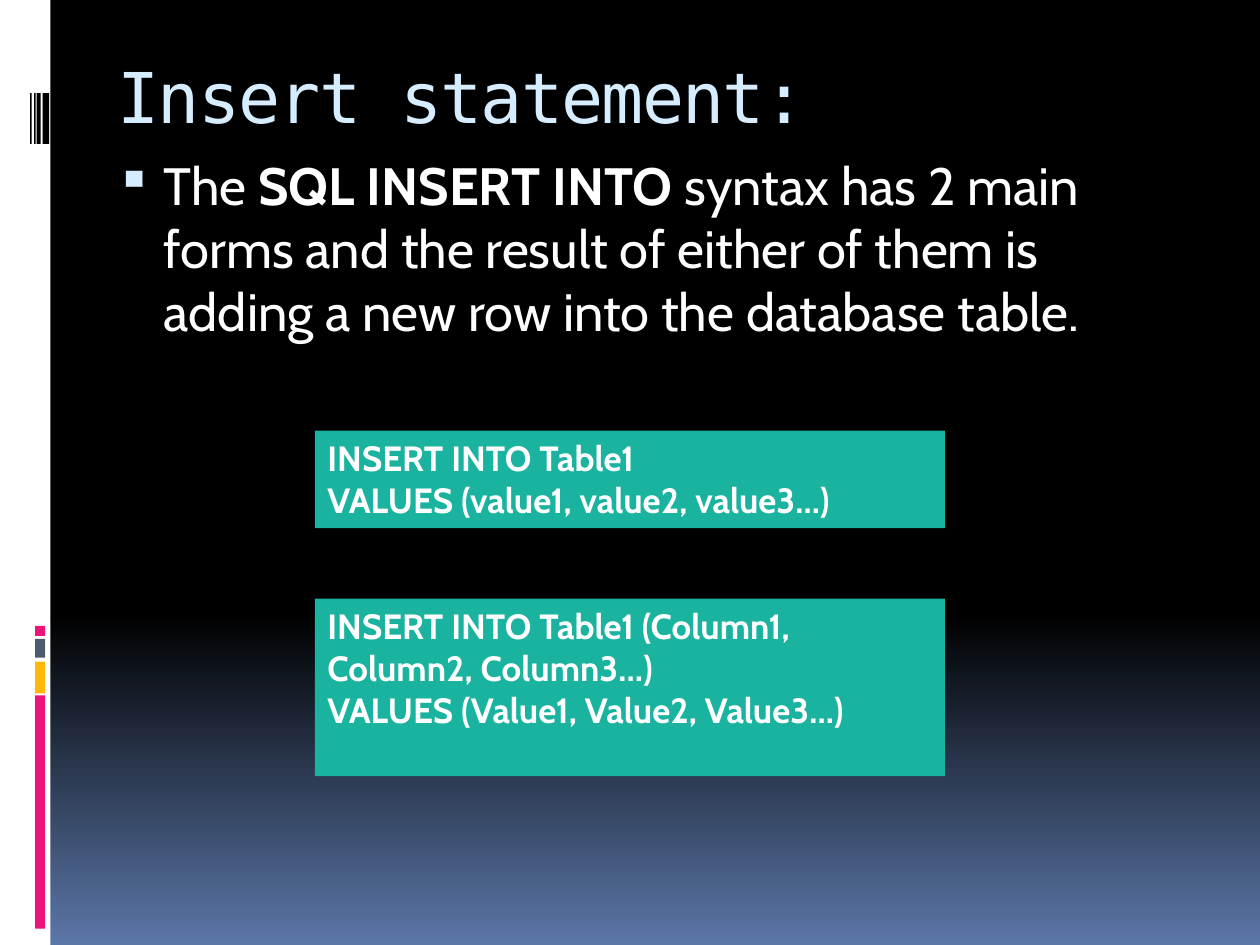
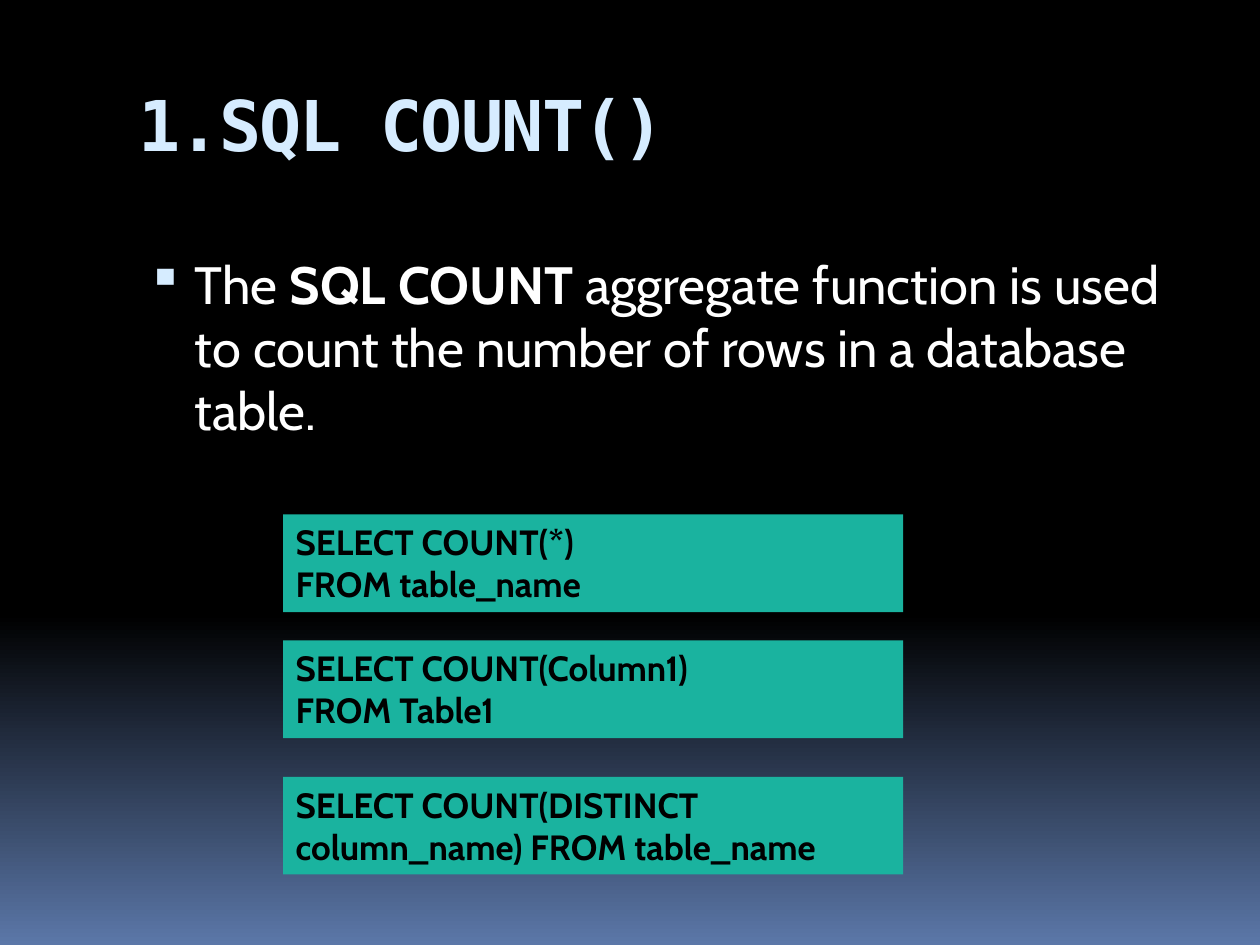
"""Build two slides on the SQL INSERT statement and the COUNT function."""
import copy
from dataclasses import dataclass

import pptx
import pptx.dml.color
import pptx.enum.shapes
import pptx.enum.text
import pptx.oxml
import pptx.oxml.ns
import pptx.slide
import pptx.text.text
import pptx.util
from pptx.util import Cm

COLOURS = {
    "black": "000000",
    "white": "FFFFFF",
    "dusk": "5B77A8",
    "ice": "D6ECFF",
    "teal": "1AB39F",
    "pink": "EA157A",
    "amber": "FEB80A",
    "slate": "4E5B6F",
}
TITLE_FONT = "DejaVu Sans Mono"
BODY_FONT = "Cabin"
TEXT_WIDTH = 21.59
TITLE_HEIGHT = 2.54


@dataclass(frozen=True)
class Box:
    """A place on the slide in centimetres."""
    left: float
    top: float
    width: float
    height: float

    def lengths(self) -> tuple[Cm, Cm, Cm, Cm]:
        """Return left, top, width and height as lengths."""
        return Cm(self.left), Cm(self.top), Cm(self.width), Cm(self.height)


@dataclass(frozen=True)
class Bar:
    """A plain coloured rectangle."""
    box: Box
    colour: str


@dataclass(frozen=True)
class CodePanel:
    """A teal panel with paragraphs of SQL."""
    box: Box
    paragraphs: tuple[str, ...]


@dataclass(frozen=True)
class Lesson:
    """The content of one slide."""
    title: str
    title_box: Box
    title_bold: bool
    sentence: tuple[str, str, str]
    sentence_box: Box
    code_colour: str
    panels: tuple[CodePanel, ...]
    has_rail: bool


RAIL = [Bar(Box(0, 0, 1.02, 19.05), "white")]
RAIL += [
    Bar(Box(0.71, top, 0.2, height), colour)
    for top, height, colour in (
        (14.02, 4.7, "pink"),
        (13.34, 0.64, "amber"),
        (12.88, 0.38, "slate"),
        (12.62, 0.2, "pink"),
    )
]
RAIL += [
    Bar(Box(left, 1.88, width, 1.02), "black")
    for left, width in ((0.86, 0.13), (0.74, 0.08), (0.69, 0.03), (0.61, 0.03))
]

LESSONS = (
    Lesson(
        title="Insert statement:",
        title_box=Box(2.12, 0.85, TEXT_WIDTH, TITLE_HEIGHT),
        title_bold=False,
        sentence=(
            "The ",
            "SQL INSERT INTO",
            " syntax has 2 main forms and the result of either of them is "
            "adding a new row into the database table.",
        ),
        sentence_box=Box(1.91, 2.97, TEXT_WIDTH, 4.23),
        code_colour="white",
        panels=(
            CodePanel(Box(6.35, 8.68, 12.7, 1.97),
                      ("INSERT INTO Table1\nVALUES (value1, value2, value3…)",)),
            CodePanel(Box(6.35, 12.07, 12.7, 3.58),
                      ("INSERT INTO Table1 (Column1, Column2, Column3…)\n"
                       "VALUES (Value1, Value2, Value3…)",)),
        ),
        has_rail=True,
    ),
    Lesson(
        title="1.SQL COUNT()",
        title_box=Box(2.54, 1.42, TEXT_WIDTH, TITLE_HEIGHT),
        title_bold=True,
        sentence=(
            "The ",
            "SQL COUNT",
            " aggregate function is used to count the number of rows in a database table.",
        ),
        sentence_box=Box(2.54, 4.95, TEXT_WIDTH, 4.37),
        code_colour="black",
        panels=tuple(
            CodePanel(Box(5.71, top, 12.5, 1.97), paragraphs)
            for top, paragraphs in (
                (10.37, ("SELECT COUNT(*)", "FROM table_name")),
                (12.91, ("SELECT COUNT(Column1)\nFROM Table1",)),
                (15.66, ("SELECT COUNT(DISTINCT column_name) FROM table_name",)),
            )
        ),
        has_rail=False,
    ),
)


def rgb(name: str) -> pptx.dml.color.RGBColor:
    """Return a named colour."""
    return pptx.dml.color.RGBColor.from_string(COLOURS[name])


def set_font(paragraph: pptx.text.text._Paragraph, name: str, size: int,
             colour: str, bold: bool = False) -> None:
    """Set the font that all runs of a paragraph share."""
    paragraph.font.name = name
    paragraph.font.size = pptx.util.Pt(size)
    paragraph.font.bold = bold
    paragraph.font.color.rgb = rgb(colour)


def paint_background(slide: pptx.slide.Slide) -> None:
    """Fade the background from black to blue at the bottom."""
    fill = slide.background.fill
    fill.gradient()
    fill.gradient_angle = 270
    for stop, position, colour in zip(fill.gradient_stops, (0.65, 1), ("black", "dusk")):
        stop.position = position
        stop.color.rgb = rgb(colour)
    stops = slide.element.find(".//" + pptx.oxml.ns.qn("a:gsLst"))
    first_stop = copy.deepcopy(stops[0])
    first_stop.set("pos", "0")
    stops.insert(0, first_stop)


def add_bar(slide: pptx.slide.Slide, bar: Bar) -> pptx.text.text.TextFrame:
    """Draw a rectangle without outline and return its text frame."""
    shape = slide.shapes.add_shape(
        pptx.enum.shapes.MSO_SHAPE.RECTANGLE, *bar.box.lengths())
    shape.shadow.inherit = False
    shape.fill.solid()
    shape.fill.fore_color.rgb = rgb(bar.colour)
    shape.line.fill.background()
    return shape.text_frame


def add_text_box(slide: pptx.slide.Slide, box: Box) -> pptx.text.text.TextFrame:
    """Add a wrapping text box and return its text frame."""
    text_frame = slide.shapes.add_textbox(*box.lengths()).text_frame
    text_frame.word_wrap = True
    return text_frame


def add_title(slide: pptx.slide.Slide, lesson: Lesson) -> None:
    """Write the title in slightly tightened monospace."""
    text_frame = add_text_box(slide, lesson.title_box)
    text_frame.margin_top = Cm(0.23)
    paragraph = text_frame.paragraphs[0]
    run = paragraph.add_run()
    run.text = lesson.title
    run._r.get_or_add_rPr().set("spc", "-100")
    set_font(paragraph, TITLE_FONT, 40, "ice", lesson.title_bold)


def add_bullet(paragraph: pptx.text.text._Paragraph) -> None:
    """Give a paragraph a hanging square bullet."""
    properties = paragraph._p.get_or_add_pPr()
    properties.set("marL", str(Cm(1.14)))
    properties.set("indent", str(-Cm(0.97)))
    namespace = pptx.oxml.ns.nsdecls("a")
    for xml in (
        f'<a:buClr {namespace}><a:srgbClr val="{COLOURS["ice"]}"/></a:buClr>',
        f'<a:buSzPct {namespace} val="95000"/>',
        f'<a:buChar {namespace} char="▪"/>',
    ):
        properties.append(pptx.oxml.parse_xml(xml))


def add_sentence(slide: pptx.slide.Slide, lesson: Lesson) -> None:
    """Write the bulleted sentence with its middle part bold."""
    paragraph = add_text_box(slide, lesson.sentence_box).paragraphs[0]
    add_bullet(paragraph)
    set_font(paragraph, BODY_FONT, 30, "white")
    for index, text in enumerate(lesson.sentence):
        run = paragraph.add_run()
        run.text = text
        run.font.bold = index == 1


def add_code_panel(slide: pptx.slide.Slide, panel: CodePanel, colour: str) -> None:
    """Draw a teal panel with bold SQL."""
    text_frame = add_bar(slide, Bar(panel.box, "teal"))
    text_frame.word_wrap = True
    text_frame.vertical_anchor = pptx.enum.text.MSO_ANCHOR.TOP
    for index, text in enumerate(panel.paragraphs):
        paragraph = text_frame.add_paragraph() if index else text_frame.paragraphs[0]
        paragraph.text = text
        paragraph.alignment = pptx.enum.text.PP_ALIGN.LEFT
        set_font(paragraph, BODY_FONT, 20, colour, bold=True)


def main() -> None:
    """Build and save the presentation."""
    presentation = pptx.Presentation()
    presentation.slide_width = Cm(25.4)
    presentation.slide_height = Cm(19.05)
    for lesson in LESSONS:
        slide = presentation.slides.add_slide(presentation.slide_layouts[6])
        paint_background(slide)
        if lesson.has_rail:
            for bar in RAIL:
                add_bar(slide, bar)
        add_title(slide, lesson)
        add_sentence(slide, lesson)
        for panel in lesson.panels:
            add_code_panel(slide, panel, lesson.code_colour)
    presentation.save("out.pptx")


if __name__ == "__main__":
    main()
